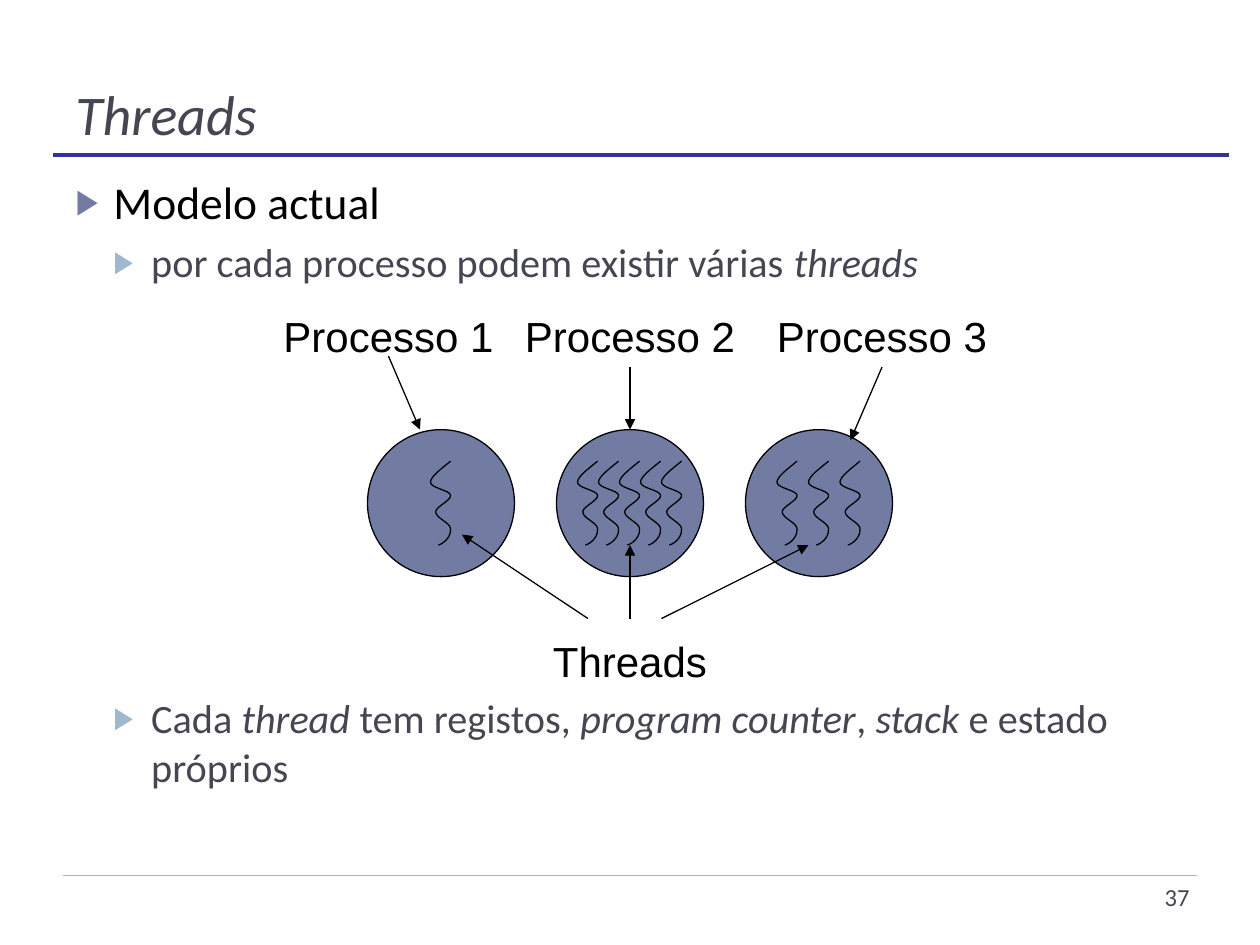
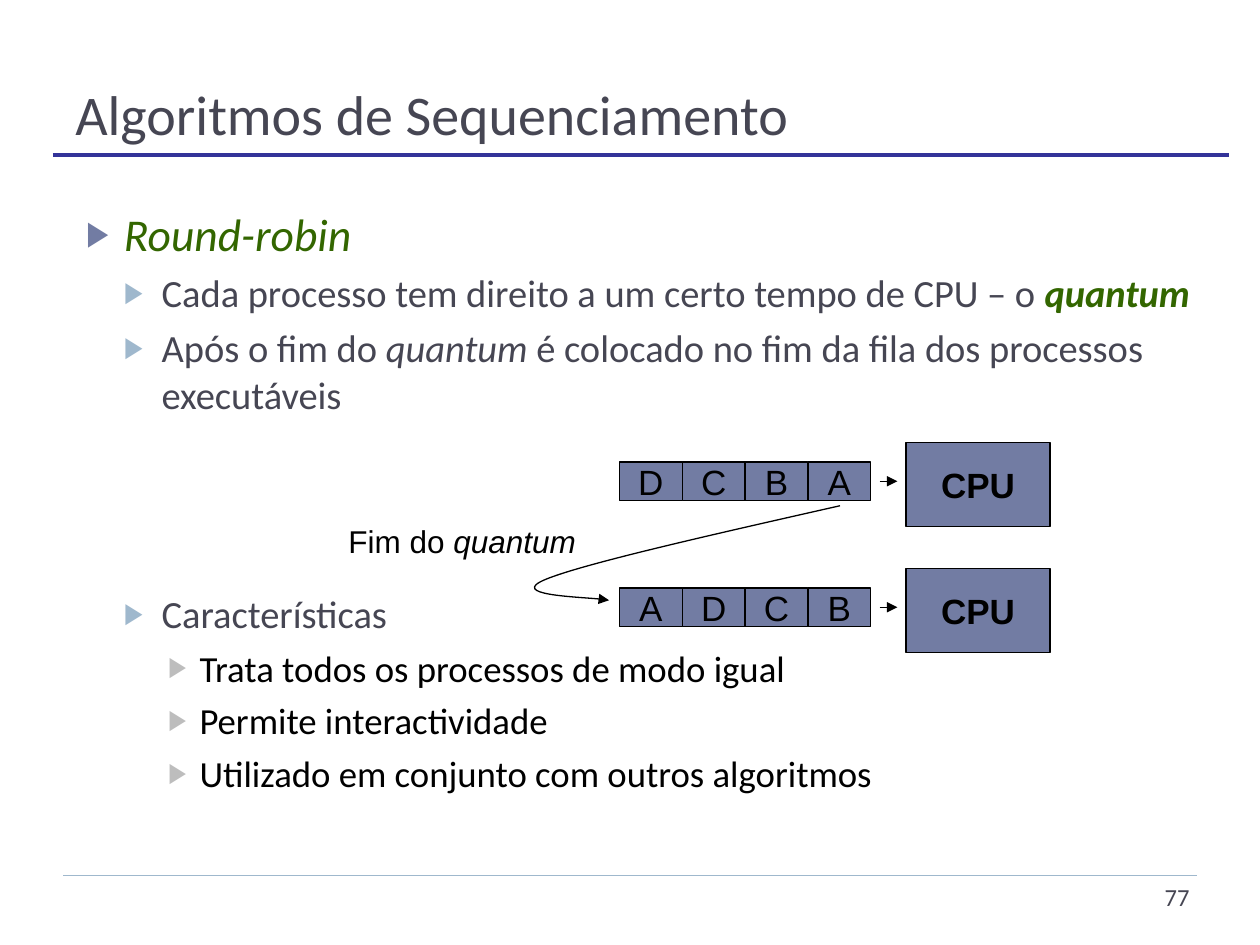
from dataclasses import dataclass

from lxml import etree
from pptx import Presentation
from pptx.dml.color import RGBColor
from pptx.enum.shapes import MSO_CONNECTOR, MSO_SHAPE
from pptx.enum.text import MSO_ANCHOR, MSO_AUTO_SIZE, PP_ALIGN
from pptx.oxml.ns import qn
from pptx.util import Pt

LEFT, CENTER, RIGHT = PP_ALIGN.LEFT, PP_ALIGN.CENTER, PP_ALIGN.RIGHT
TOP, MIDDLE, BOTTOM = MSO_ANCHOR.TOP, MSO_ANCHOR.MIDDLE, MSO_ANCHOR.BOTTOM
RECT, OVAL = MSO_SHAPE.RECTANGLE, MSO_SHAPE.OVAL
STRAIGHT = MSO_CONNECTOR.STRAIGHT
NO_FIT = MSO_AUTO_SIZE.NONE


@dataclass(frozen=True)
class Theme:
    text: str = "Calibri"
    label: str = "Arial"
    ink: str = "464653"
    black: str = "000000"
    green: str = "336600"
    fill: str = "727CA3"
    pale: str = "9FB8CD"
    gray: str = "BDBDBD"
    rule: str = "333399"
    title: int = 32
    page: int = 14
    name: int = 24
    cell: int = 20
    note: int = 18
    thin: float = 0.75


T = Theme()

# Per list level: indent, hang, space before, bullet colour, text colour
LEVELS = [
    (21.6, 21.6, 6, T.fill, T.black),
    (43.2, 21.6, 5, T.pale, T.ink),
    (64.8, 18, 5, T.gray, T.black),
]

# Thread outline: a start, then Bézier triples, from its top left corner
WAVE = [
    (11.5, 0),
    (6, 4.5), (0, 9), (0, 12),
    (0, 15.5), (11, 16.5), (11.5, 19.5),
    (12, 22.5), (3, 26), (3, 29),
    (3, 32.5), (11, 35), (11.5, 38.5),
    (12, 42), (9, 46.5), (4.5, 48),
]
# Way from the end of one queue to the start of the next
RETURN = [
    (480, 289),
    (407, 305.5), (334, 322), (312, 331),
    (290, 340), (342, 341.5), (348, 343),
]


def box(x, y, w, h):
    return Pt(x), Pt(y), Pt(w), Pt(h)


def style(font, size, color, face=T.text):
    font.name, font.size = face, Pt(size)
    font.color.rgb = RGBColor.from_string(color)


def write(para, text):
    """Fill a paragraph; text between asterisks is set in italics."""
    for i, part in enumerate(text.split("*")):
        if part:
            run = para.add_run()
            run.text = part
            if i % 2:
                run.font.italic = True


def stroke(line, color=T.black, width=T.thin, arrow=False):
    line.color.rgb = RGBColor.from_string(color)
    line.width = Pt(width)
    if arrow:
        ln = line._get_or_add_ln()
        etree.SubElement(ln, qn("a:tailEnd"), type="triangle")


def link(shapes, start, end, color=T.black, width=T.thin, arrow=True):
    cxn = shapes.add_connector(STRAIGHT, *map(Pt, start + end))
    stroke(cxn.line, color, width, arrow)
    etree.SubElement(cxn._element.spPr, qn("a:effectLst"))
    return cxn


def label(shapes, area, text, size, align=LEFT, color=T.black, face=T.label):
    shape = shapes.add_textbox(*box(*area))
    shape.text_frame.word_wrap = True
    para = shape.text_frame.paragraphs[0]
    para.alignment = align
    style(para.font, size, color, face)
    write(para, text)
    return shape


def solid(shapes, kind, area, text="", bold=False):
    shape = shapes.add_shape(kind, *box(*area))
    shape.shadow.inherit = False
    shape.fill.solid()
    shape.fill.fore_color.rgb = RGBColor.from_string(T.fill)
    stroke(shape.line)
    if text:
        frame = shape.text_frame
        frame.word_wrap = False
        frame.vertical_anchor = MIDDLE
        frame.margin_top = frame.margin_bottom = 0
        para = frame.paragraphs[0]
        para.alignment = CENTER
        style(para.font, T.cell, T.black, T.label)
        para.font.bold = bold
        write(para, text)
    return shape


def curve(shapes, knots, x=0, y=0, arrow=False):
    """Draw an open line whose knots are a start and Bézier triples."""
    dots = [(Pt(x + p), Pt(y + q)) for p, q in knots]
    pen = shapes.build_freeform(*dots[0])
    pen.add_line_segments(dots[1:], close=False)
    shape = pen.convert_to_shape()
    # Merge each three line segments into one cubic curve
    legs = list(shape._element.iter(qn("a:lnTo")))
    for trio in zip(legs[::3], legs[1::3], legs[2::3]):
        outline = trio[0].getparent()
        bend = etree.SubElement(outline, qn("a:cubicBezTo"))
        for leg in trio:
            bend.append(leg[0])
            outline.remove(leg)
    shape.shadow.inherit = False
    shape.fill.background()
    stroke(shape.line, arrow=arrow)


def place(holder, area, anchor):
    holder.left, holder.top, holder.width, holder.height = box(*area)
    frame = holder.text_frame
    frame.word_wrap, frame.auto_size = True, NO_FIT
    frame.vertical_anchor = anchor
    return frame


def bullet(para, level, gap):
    indent, hang, before, color, _ = LEVELS[level]
    para.level = level
    para.space_before = Pt(before + gap)
    props = para._p.get_or_add_pPr()
    props.set("marL", str(Pt(indent)))
    props.set("indent", str(-Pt(hang)))
    tint = etree.SubElement(props, qn("a:buClr"))
    etree.SubElement(tint, qn("a:srgbClr"), val=color)
    etree.SubElement(props, qn("a:buSzPct"), val="76000")
    etree.SubElement(props, qn("a:buFont"), typeface=T.label)
    etree.SubElement(props, qn("a:buChar"), char="▶")


def items(slide, area, sizes, rows):
    """Fill the body; each row is level, text and extra space above."""
    frame = place(slide.placeholders[1], area, TOP)
    for i, (level, text, gap) in enumerate(rows):
        para = frame.add_paragraph() if i else frame.paragraphs[0]
        bullet(para, level, gap)
        style(para.font, sizes[level], LEVELS[level][4])
        write(para, text)
    return frame.paragraphs


def base(deck, title, page):
    """Add a slide with its title, rules and page number."""
    slide = deck.slides.add_slide(deck.slide_layouts[1])
    shapes = slide.shapes
    link(shapes, (36, 500.4), (684, 500.4), T.pale, arrow=False)
    link(shapes, (30.2, 88.6), (702, 88.6), T.rule, 2, arrow=False)
    para = place(shapes.title, (35.8, 9.4, 648, 77.8), BOTTOM).paragraphs[0]
    para.alignment = LEFT
    style(para.font, T.title, T.ink)
    write(para, title)
    label(shapes, (529.8, 500.4, 157, 28.8), page, T.page, RIGHT, T.ink,
          T.text)
    return slide


def threads(deck):
    slide = base(deck, "*Threads*", "37")
    items(slide, (36, 96, 648, 388.8), (26, 23), [
        (0, "Modelo actual", 0),
        (1, "por cada processo podem existir várias *threads*", 0),
        (1, "Cada *thread* tem registos, *program counter*, *stack*"
            " e estado próprios", 228),
    ])
    group = slide.shapes.add_group_shape().shapes

    # Processes: left of name, number of threads and their spacing
    names, discs = [], []
    rows = [(150, 1, 0), (288, 5, 12), (432, 3, 18)]
    for i, (left, count, step) in enumerate(rows):
        mid = 252 + 108 * i
        names.append(label(group, (left, 173.8, 144, 36),
                           f"Processo {i + 1}", T.name, CENTER))
        discs.append(solid(group, OVAL, (mid - 42, 245.5, 84, 84)))
        for k in range(count):
            curve(group, WAVE, mid - 6 + step * (k - (count - 1) / 2), 263.5)
    label(group, (288, 359.5, 144, 36), "Threads", T.name, CENTER)

    # Arrows from the process names
    link(group, (222, 203.5), (240, 245.5))
    down = link(group, (360, 209.8), (360, 245.5))
    down.begin_connect(names[1], 2)
    down.end_connect(discs[1], 0)
    link(group, (504, 209.8), (486, 251.5)).begin_connect(names[2], 2)

    # Arrows from the word below
    for start, end in [(336, (264, 305.5)), (360, (360, 311.5)),
                       (378, (462, 311.5))]:
        link(group, (start, 353.5), end)


def queue(slide, top, names):
    """Draw waiting processes and the CPU they lead to."""
    group = slide.shapes.add_group_shape().shapes
    for i, name in enumerate(names):
        solid(group, RECT, (354 + 35.9 * i, top, 35.9, 22.2), name)
    solid(group, RECT, (517.8, top - 11.3, 82.2, 48), "CPU", True)
    link(group, (502.6, top + 11), (512.8, top + 11))


def robin(deck):
    slide = base(deck, "Algoritmos de Sequenciamento", "77")
    paras = items(slide, (42, 114.2, 654, 420), (26, 22, 21), [
        (0, "*Round-robin*", 0),
        (1, "Cada processo tem direito a um certo tempo de CPU – o *quantum*",
         0),
        (1, "Após o fim do *quantum* é colocado no fim da fila dos processos"
            " executáveis", 0),
        (1, "Características", 94.2),
        (2, "Trata todos os processos de modo igual", 0),
        (2, "Permite interactividade", 0),
        (2, "Utilizado em conjunto com outros algoritmos", 0),
    ])
    green = RGBColor.from_string(T.green)
    paras[0].font.color.rgb = green
    term = paras[1].runs[-1].font
    term.bold, term.color.rgb = True, green

    # Queue before and after the quantum ends
    queue(slide, 264, "DCBA")
    queue(slide, 336, "ADCB")
    label(slide.shapes, (192, 294.8, 150, 28.8), "Fim do *quantum*", T.note)
    curve(slide.shapes, RETURN, arrow=True)


def main():
    deck = Presentation()
    deck.slide_width, deck.slide_height = Pt(720), Pt(540)
    threads(deck)
    robin(deck)
    deck.save("out.pptx")


if __name__ == "__main__":
    main()
